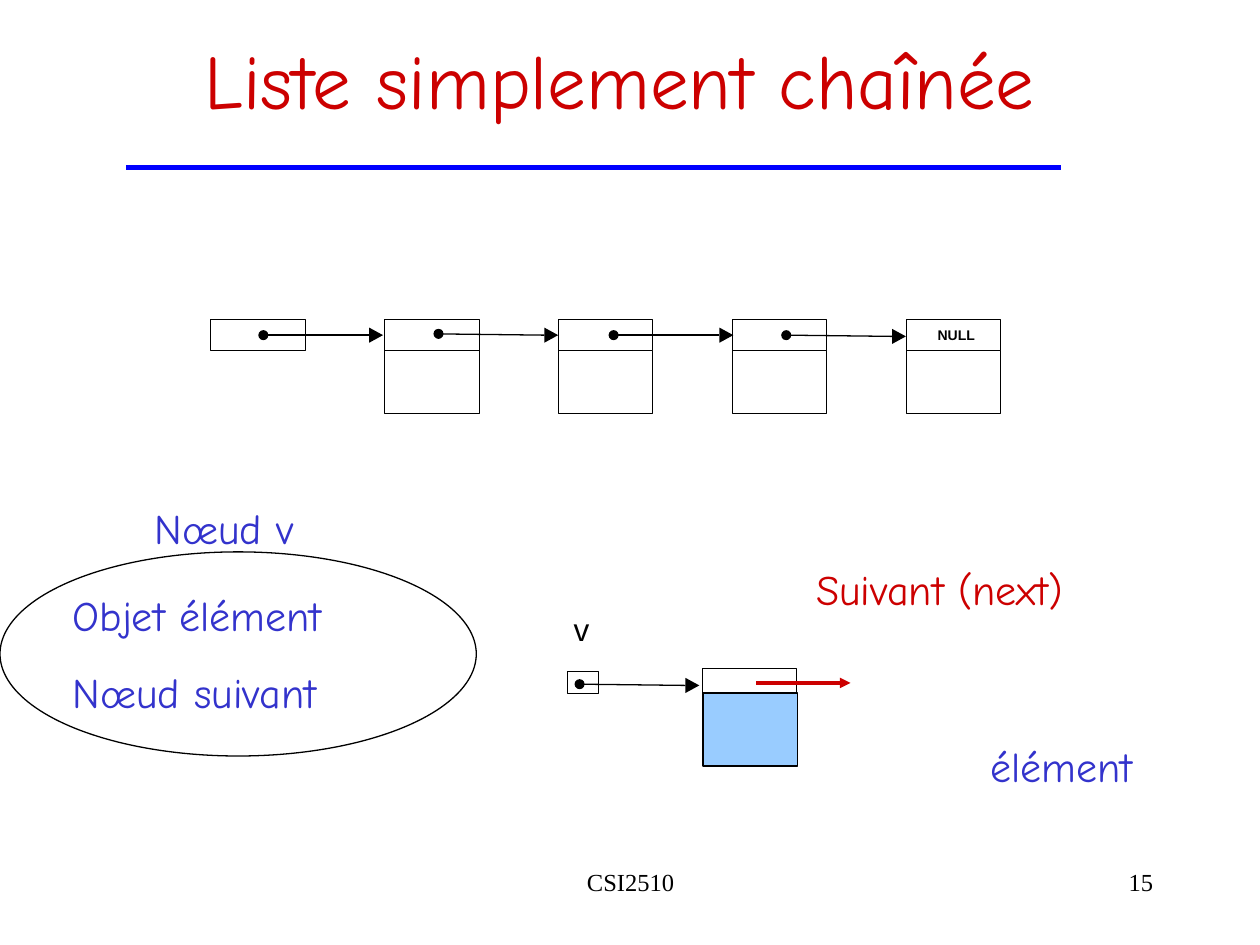
from dataclasses import dataclass

from lxml import etree
from pptx import Presentation
from pptx import util as u
from pptx.dml import color
from pptx.enum import shapes, text
from pptx.oxml import ns


@dataclass(frozen=True)
class Theme:
    """Colours, fonts, type sizes and line widths of the slide."""
    black: str = "000000"
    white: str = "FFFFFF"
    red: str = "CC0000"
    violet: str = "3333CC"
    rule: str = "0000FF"
    element: str = "99CCFF"
    hand: str = "Comic Neue"
    sans: str = "Arial"
    serif: str = "Times New Roman"
    title_size: float = 44
    label_size: float = 24
    variable_size: float = 18
    footer_size: float = 14
    null_size: float = 8
    hairline: float = 0.25
    thin: float = 0.75


THEME = Theme()
LEFT, CENTER, RIGHT = text.PP_ALIGN.LEFT, text.PP_ALIGN.CENTER, text.PP_ALIGN.RIGHT
RECTANGLE, OVAL = shapes.MSO_SHAPE.RECTANGLE, shapes.MSO_SHAPE.OVAL
NODE_WIDTH, LINK_HEIGHT, DATA_HEIGHT = 0.75, 0.25, 0.5
FIRST_NODE, NODE_PITCH, NODE_TOP, NODE_COUNT = 3.05, 1.38, 2.53, 4
POINTER_LENGTH, DOT_RADIUS, HEAD_LENGTH, HEAD_HALF = 0.95, 0.04, 0.11, 0.06


@dataclass(frozen=True)
class Label:
    """Text lines with their box and type."""
    lines: tuple[str, ...]
    left: float
    top: float
    width: float
    height: float
    size: float = THEME.label_size
    font: str = THEME.hand
    colour: str = THEME.violet
    align: text.PP_ALIGN = CENTER
    bold: bool = False
    inset: bool = True
    wrap: bool = False


@dataclass(frozen=True)
class Pointer:
    """A pointer arrow, from its dot to the height of its tip."""
    x: float
    y: float
    tip_y: float


LABELS = (
    Label(("CSI2510",), 3.42, 6.83, 3.17, 0.5, THEME.footer_size, THEME.serif,
          THEME.black, wrap=True),
    Label(("15",), 7.17, 6.83, 2.08, 0.5, THEME.footer_size, THEME.serif,
          THEME.black, RIGHT, wrap=True),
    Label(("NULL",), 7.44, 2.59, 0.3, 0.13, THEME.null_size, THEME.sans,
          THEME.black, bold=True, inset=False),
    Label(("Nœud v",), 1.13, 3.94, 1.3, 0.5),
    Label(("v",), 4.55, 4.84, 0.13, 0.3, THEME.variable_size, THEME.sans,
          THEME.black, inset=False),
    Label(("Objet élément", "Nœud suivant"), 0.48, 4.63, 2.17, 1.11, align=LEFT),
    Label(("Suivant (next)",), 6.38, 4.42, 2.16, 0.5, colour=THEME.red, align=LEFT),
    Label(("élément",), 7.76, 5.83, 1.33, 0.5),
)
POINTERS = (
    Pointer(2.09, 2.66, 2.66),
    Pointer(3.48, 2.65, 2.66),
    Pointer(4.87, 2.66, 2.66),
    Pointer(6.24, 2.66, 2.67),
    Pointer(4.6, 5.43, 5.44),
)


def rgb(value: str) -> color.RGBColor:
    """Turn a hexadecimal value into a colour."""
    return color.RGBColor.from_string(value)


def paint(shape, fill: str | None, line_width: float | None) -> None:
    """Set the fill and the black outline of a shape, without shadow."""
    shape.shadow.inherit = False
    if fill:
        shape.fill.solid()
        shape.fill.fore_color.rgb = rgb(fill)
    else:
        shape.fill.background()
    if line_width:
        shape.line.color.rgb = rgb(THEME.black)
        shape.line.width = u.Pt(line_width)
    else:
        shape.line.fill.background()


def add_box(slide, left: float, top: float, width: float, height: float,
            fill: str | None = THEME.white, line_width: float | None = THEME.hairline,
            kind: shapes.MSO_SHAPE = RECTANGLE) -> None:
    """Draw a preset shape."""
    shape = slide.shapes.add_shape(
        kind, u.Inches(left), u.Inches(top), u.Inches(width), u.Inches(height))
    paint(shape, fill, line_width)


def add_line(slide, start: tuple[float, float], end: tuple[float, float],
             colour: str = THEME.black, width: float = THEME.thin,
             arrow: bool = False) -> None:
    """Draw a straight line, with an arrowhead on request."""
    line = slide.shapes.add_connector(
        shapes.MSO_CONNECTOR.STRAIGHT, *map(u.Inches, start + end))
    line.line.color.rgb = rgb(colour)
    line.line.width = u.Pt(width)
    if arrow:
        etree.SubElement(line.line._get_or_add_ln(), ns.qn("a:tailEnd"), type="triangle")
    etree.SubElement(line._element.spPr, ns.qn("a:effectLst"))


def add_node(slide, left: float, top: float) -> None:
    """Draw a list node: its link cell above its data cell."""
    add_box(slide, left, top, NODE_WIDTH, LINK_HEIGHT)
    add_box(slide, left, top + LINK_HEIGHT, NODE_WIDTH, DATA_HEIGHT)


def add_pointer(slide, pointer: Pointer) -> None:
    """Draw a pointer as a dot, a line and a solid head."""
    tip = pointer.x + POINTER_LENGTH
    base = tip - HEAD_LENGTH
    add_line(slide, (pointer.x, pointer.y), (base, pointer.tip_y))
    add_box(slide, pointer.x - DOT_RADIUS, pointer.y - DOT_RADIUS,
            2 * DOT_RADIUS, 2 * DOT_RADIUS, THEME.black, None, OVAL)
    builder = slide.shapes.build_freeform(
        u.Inches(base), u.Inches(pointer.tip_y - HEAD_HALF))
    builder.add_line_segments([
        (u.Inches(tip), u.Inches(pointer.tip_y)),
        (u.Inches(base), u.Inches(pointer.tip_y + HEAD_HALF))])
    paint(builder.convert_to_shape(), THEME.black, None)


def style(paragraph, size: float, font: str, colour: str, bold: bool = False) -> None:
    """Set the type of a paragraph."""
    paragraph.font.size = u.Pt(size)
    paragraph.font.name = font
    paragraph.font.bold = bold
    paragraph.font.color.rgb = rgb(colour)


def add_label(slide, label: Label) -> None:
    """Write a label in a text box."""
    frame = slide.shapes.add_textbox(
        u.Inches(label.left), u.Inches(label.top),
        u.Inches(label.width), u.Inches(label.height)).text_frame
    frame.word_wrap = label.wrap
    if not label.inset:
        frame.margin_left = frame.margin_right = 0
        frame.margin_top = frame.margin_bottom = 0
    frame.text = "\n".join(label.lines)
    for index, paragraph in enumerate(frame.paragraphs):
        paragraph.alignment = label.align
        if index:
            paragraph.space_before = u.Pt(15)
        style(paragraph, label.size, label.font, label.colour, label.bold)


def add_title(slide, words: str) -> None:
    """Fill and place the title placeholder."""
    title = slide.shapes.title
    title.left, title.top = u.Inches(0.67), u.Inches(0)
    title.width, title.height = u.Inches(8.5), u.Inches(1.25)
    frame = title.text_frame
    frame.text = words
    frame.auto_size = text.MSO_AUTO_SIZE.NONE
    frame.vertical_anchor = text.MSO_ANCHOR.MIDDLE
    frame.paragraphs[0].alignment = CENTER
    style(frame.paragraphs[0], THEME.title_size, THEME.hand, THEME.red)


def main() -> None:
    """Build the slide and save it."""
    presentation = Presentation()
    presentation.slide_width, presentation.slide_height = u.Inches(10), u.Inches(7.5)
    slide = presentation.slides.add_slide(presentation.slide_layouts[5])
    add_title(slide, "Liste simplement chaînée")
    add_line(slide, (1, 1.33), (8.42, 1.33), THEME.rule, 3.25)
    for index in range(NODE_COUNT):
        add_node(slide, FIRST_NODE + index * NODE_PITCH, NODE_TOP)
    add_box(slide, FIRST_NODE - NODE_PITCH, NODE_TOP, NODE_WIDTH, LINK_HEIGHT)
    add_node(slide, 5.57, 5.3)
    add_box(slide, 4.5, 5.33, 0.25, 0.17)
    for pointer in POINTERS:
        add_pointer(slide, pointer)
    add_box(slide, 0, 4.38, 3.78, 1.62, None, THEME.thin, OVAL)
    add_line(slide, (6, 5.42), (6.75, 5.42), THEME.red, 2, arrow=True)
    add_box(slide, 5.58, 5.5, 0.75, 0.58, THEME.element, THEME.thin)
    for label in LABELS:
        add_label(slide, label)
    presentation.save("out.pptx")


if __name__ == "__main__":
    main()
